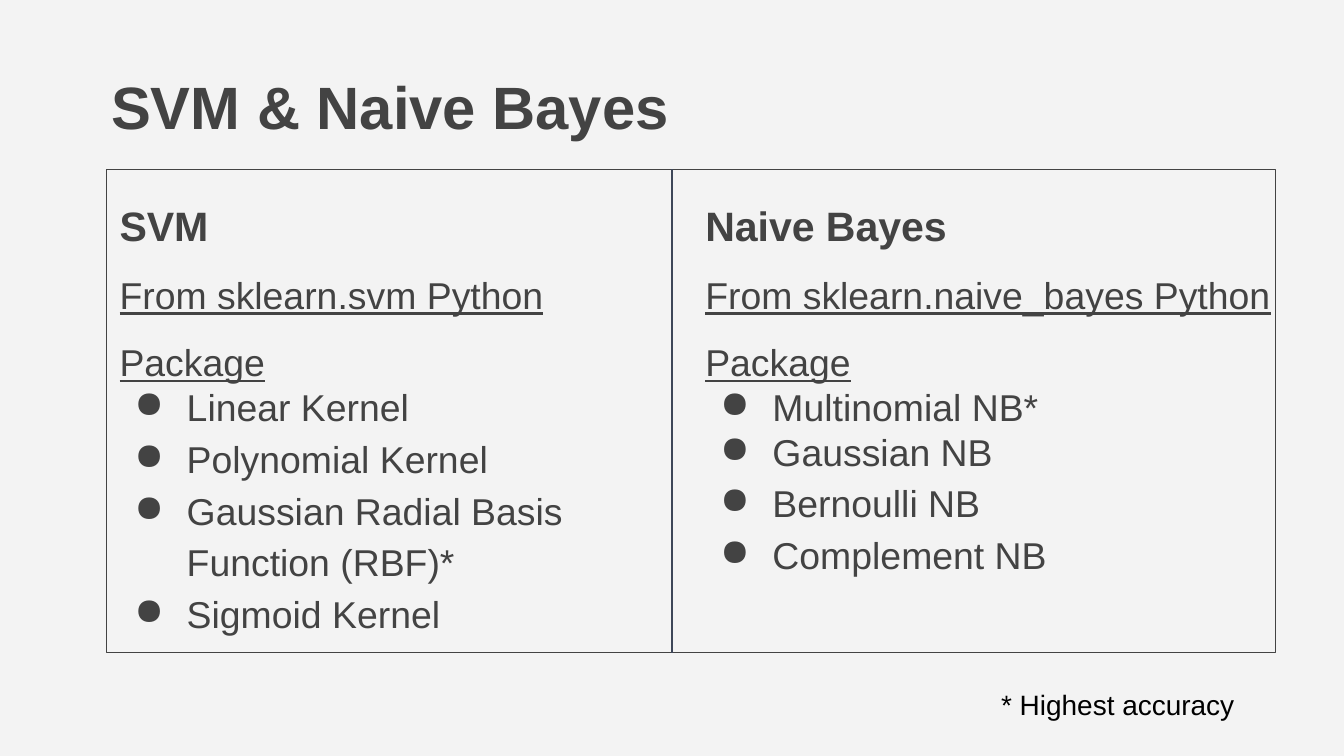
from lxml.etree import SubElement
from pptx import Presentation
from pptx.dml.color import RGBColor
from pptx.enum.shapes import MSO_CONNECTOR as Connector, MSO_SHAPE as Shape
from pptx.oxml.ns import qn
from pptx.util import Cm, Pt

INK = "434343"
TOP, BOTTOM = 3.2, 12.34
SVM_KERNELS = [
    ("Linear Kernel", {}),
    ("Polynomial Kernel", {"before": 4}),
    ("Gaussian Radial Basis Function (RBF)*", {"spacing": 1.15}),
    ("Sigmoid Kernel", {"spacing": 1.15}),
]
BAYES_VARIANTS = [
    ("Multinomial NB*", {}),
    ("Gaussian NB", {}),
    ("Bernoulli NB", {"spacing": 1.15}),
    ("Complement NB", {"spacing": 1.15}),
]


def rgb(value):
    return RGBColor.from_string(value)


def add_text_frame(slide, left, top, width, height):
    box = slide.shapes.add_textbox(Cm(left), Cm(top), Cm(width), Cm(height))
    frame = box.text_frame
    frame.word_wrap = True
    frame.margin_left = frame.margin_right = Cm(0.25)
    frame.margin_top = frame.margin_bottom = Cm(0.25)
    return frame


def write(paragraph, text, size, color=INK, bold=False, underline=False, spacing=None, before=None):
    if spacing:
        paragraph.line_spacing = spacing
    if before:
        paragraph.space_before = Pt(before)
    run = paragraph.add_run()
    run.text = text
    font = run.font
    font.name, font.size = "Arial", Pt(size)
    font.bold, font.underline = bold, underline
    font.color.rgb = rgb(color)


def add_bullet(paragraph):
    props = paragraph._p.get_or_add_pPr()
    props.set("marL", str(Cm(1.27)))
    props.set("indent", str(Cm(-0.99)))
    bullet_color = SubElement(props, qn("a:buClr"))
    SubElement(bullet_color, qn("a:srgbClr"), val=INK)
    SubElement(props, qn("a:buChar"), char="●")


def add_column(slide, left, width, height, heading, package, models):
    frame = add_text_frame(slide, left, 3.4, width, height)
    write(frame.paragraphs[0], heading, 22, bold=True, spacing=1.15)
    write(frame.add_paragraph(), package, 20, underline=True, spacing=1.5)
    for model, gaps in models:
        item = frame.add_paragraph()
        add_bullet(item)
        write(item, model, 20, **gaps)


def add_border(slide):
    border = slide.shapes.add_shape(Shape.RECTANGLE, Cm(2.01), Cm(TOP), Cm(22.1), Cm(BOTTOM - TOP))
    border.shadow.inherit = False
    border.fill.background()
    border.line.color.rgb = rgb(INK)
    border.line.width = Pt(0.75)


def add_divider(slide):
    divider = slide.shapes.add_connector(Connector.STRAIGHT, Cm(12.7), Cm(TOP), Cm(12.7), Cm(BOTTOM))
    divider.line.color.rgb = rgb("3D4658")
    divider.line.width = Pt(0.75)
    SubElement(divider._element.spPr, qn("a:effectLst"))


def main():
    """Build the comparison of SVM kernels and Naive Bayes variants."""
    deck = Presentation()
    deck.slide_width, deck.slide_height = Cm(25.4), Cm(14.29)
    slide = deck.slides.add_slide(deck.slide_layouts[6])
    slide.background.fill.solid()
    slide.background.fill.fore_color.rgb = rgb("F3F3F3")

    title = add_text_frame(slide, 1.85, 1.07, 12.83, 2.62)
    write(title.paragraphs[0], "SVM & Naive Bayes", 32, bold=True)
    add_column(slide, 2.01, 11.07, 9.96, "SVM", "From sklearn.svm Python Package", SVM_KERNELS)
    add_column(slide, 13.08, 11.43, 7.72, "Naive Bayes",
               "From sklearn.naive_bayes Python Package", BAYES_VARIANTS)
    add_border(slide)
    add_divider(slide)
    footnote = add_text_frame(slide, 18.67, 12.75, 5.41, 1.14)
    write(footnote.paragraphs[0], "* Highest accuracy", 15, color="000000")
    deck.save("out.pptx")


if __name__ == "__main__":
    main()
